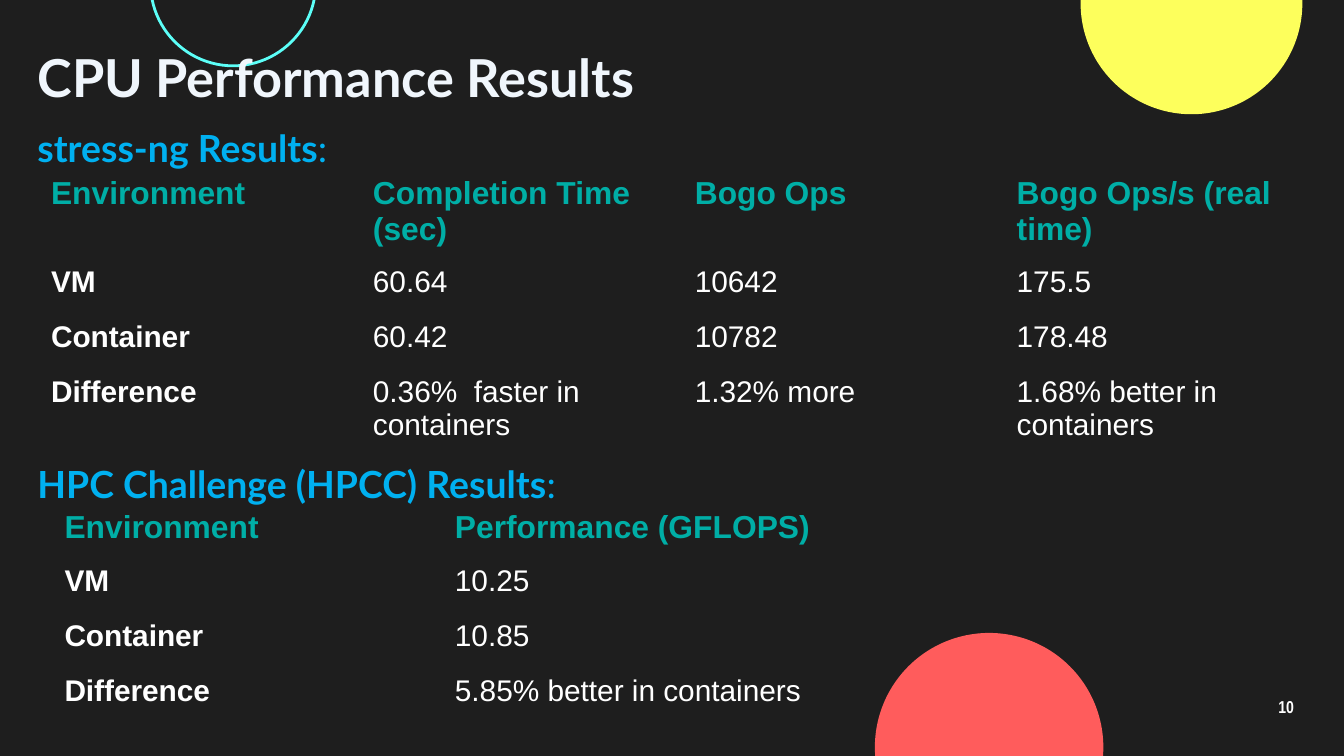
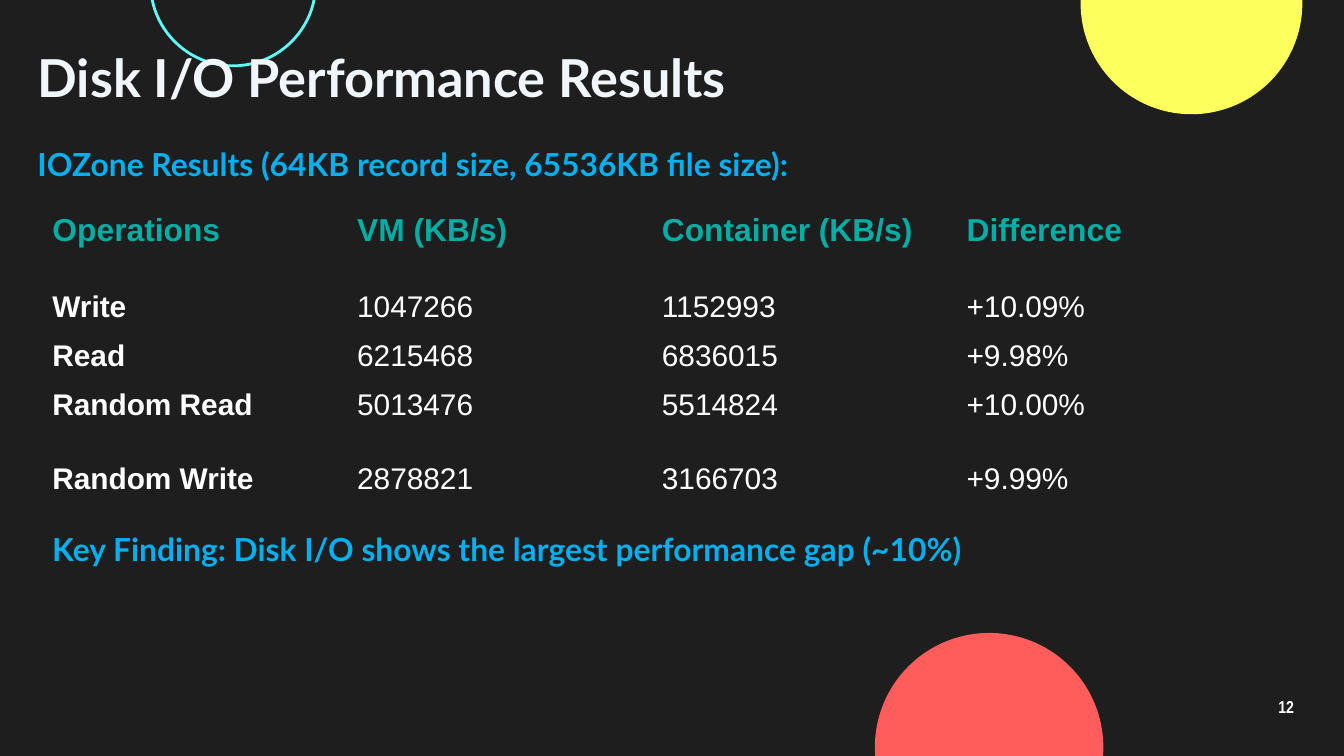
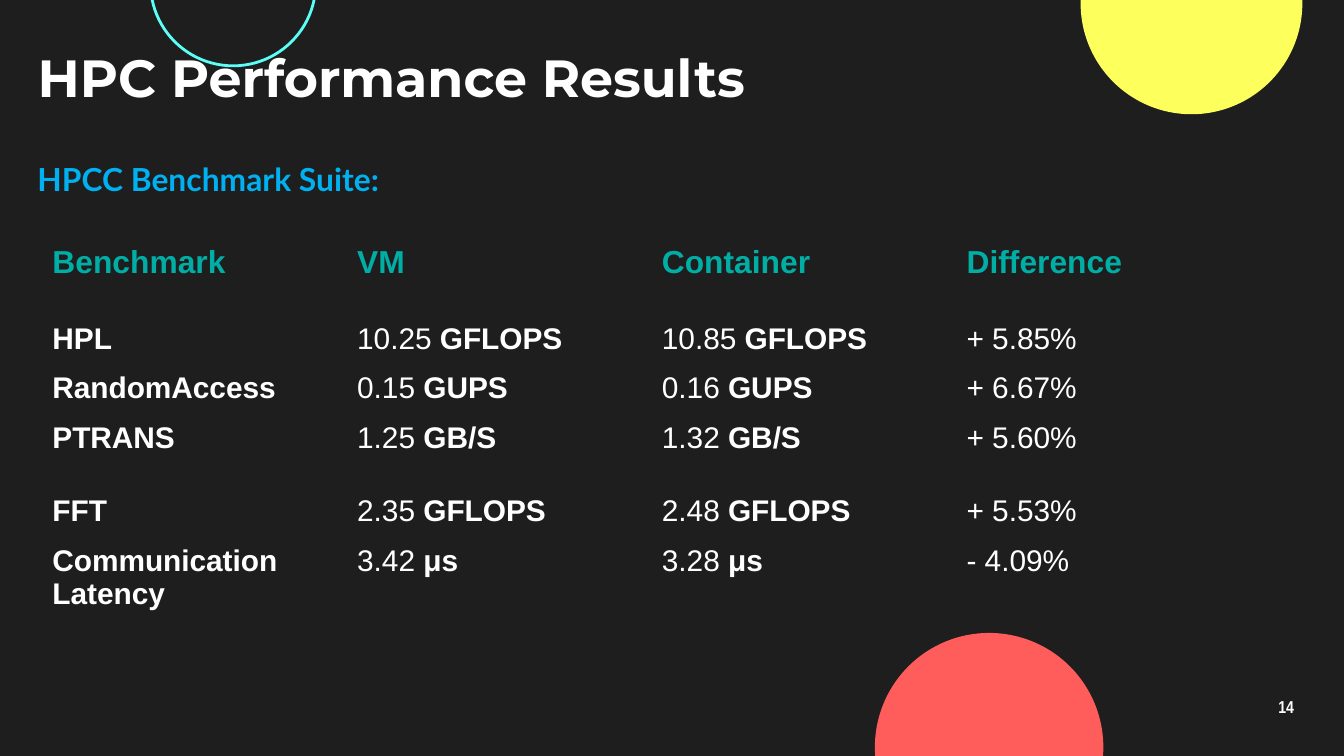
from pptx import Presentation
from pptx.dml.color import RGBColor
from pptx.enum.shapes import MSO_SHAPE
from pptx.enum.text import MSO_ANCHOR, MSO_AUTO_SIZE, PP_ALIGN
from pptx.oxml.ns import qn
from pptx.util import Inches, Pt

DARK = RGBColor(0x1E, 0x1E, 0x1E)
YELLOW = RGBColor(0xFD, 0xFF, 0x5C)
CYAN = RGBColor(0x5C, 0xFF, 0xF8)
CORAL = RGBColor(0xFF, 0x5C, 0x5C)
WHITE = RGBColor(0xFF, 0xFF, 0xFF)
PALE = RGBColor(0xF0, 0xF6, 0xFC)
BLUE = RGBColor(0x00, 0xB0, 0xF0)
TEAL = RGBColor(0x00, 0xAE, 0xA6)
NO_GRID = "{2D5ABB26-0587-4C30-8999-92F81FD0307C}"

TITLE = {"name": "Lato", "size": Pt(28), "bold": True, "color": PALE}
HEADING = {"name": "Lato", "size": Pt(17), "bold": True, "color": BLUE}
HEADER = {"name": "Arial", "size": Pt(17), "bold": True, "color": TEAL}
BODY = {"name": "Arial", "size": Pt(16), "bold": False, "color": WHITE}
STRONG = BODY | {"bold": True}
NUMBER = {"name": "Arial Narrow", "size": Pt(9.2), "bold": True, "color": WHITE}
BIG = HEADING | {"size": Pt(20)}
BIG_LIGHT = BIG | {"bold": False}
HEADING_GAP = Pt(156)

CIRCLES = [
    (8.04, -0.8, 1.65, YELLOW, None),
    (1.12, -0.74, 1.23, None, CYAN),
    (6.51, 4.71, 1.7, CORAL, None),
]
DISK_ROWS = [0.58, 0.32, 0.32, 0.55, 0.32]

SLIDES = [
    {
        "number": "10",
        "title": ("CPU Performance Results", TITLE),
        "headings": [
            ((0.18, 0.88, 9.52, 2.96), [
                [("stress-ng Results", BIG), (":", BIG_LIGHT)],
                [("HPC Challenge (HPCC) Results", BIG), (":", BIG_LIGHT)],
            ]),
        ],
        "tables": [
            ((0.28, 1.26, 9.58), [0.41] * 4, [
                ["Environment", "Completion Time (sec)", "Bogo Ops", "Bogo Ops/s (real time)"],
                ["VM", "60.64", "10642", "175.5"],
                ["Container", "60.42", "10782", "178.48"],
                ["Difference", "0.36%  faster in containers", "1.32% more",
                 "1.68% better in containers"],
            ]),
            ((0.38, 3.74, 5.81), [0.41] * 4, [
                ["Environment", "Performance (GFLOPS)"],
                ["VM", "10.25"],
                ["Container", "10.85"],
                ["Difference", "5.85% better in containers"],
            ]),
        ],
    },
    {
        "number": "12",
        "title": ("Disk I/O Performance Results", TITLE),
        "headings": [
            ((0.18, 1.03, 7.52, 0.39),
             [[("IOZone Results (64KB record size, 65536KB file size):", HEADING)]]),
            ((0.29, 3.89, 8.02, 0.67),
             [[("Key Finding: Disk I/O shows the largest performance gap (~10%)", HEADING)]]),
        ],
        "tables": [
            ((0.29, 1.53, 9.07), DISK_ROWS, [
                ["Operations", "VM (KB/s)", "Container (KB/s)", "Difference"],
                ["Write", "1047266", "1152993", "+10.09%"],
                ["Read", "6215468", "6836015", "+9.98%"],
                ["Random Read", "5013476", "5514824", "+10.00%"],
                ["Random Write", "2878821", "3166703", "+9.99%"],
            ]),
        ],
    },
    {
        "number": "14",
        "title": ("HPC Performance Results", TITLE | {"name": "Montserrat", "color": WHITE}),
        "headings": [
            ((0.18, 1.14, 7.52, 0.39), [[("HPCC Benchmark Suite:", HEADING)]]),
        ],
        "tables": [
            ((0.29, 1.77, 9.07), DISK_ROWS + [0.32], [
                ["Benchmark", "VM", "Container", "Difference"],
                ["HPL", ("10.25 ", "GFLOPS"), ("10.85 ", "GFLOPS"), "+ 5.85%"],
                ["RandomAccess", ("0.15 ", "GUPS"), ("0.16 ", "GUPS"), "+ 6.67%"],
                ["PTRANS", ("1.25 ", "GB/S"), ("1.32 ", "GB/S"), "+ 5.60%"],
                ["FFT", ("2.35 ", "GFLOPS"), ("2.48 ", "GFLOPS"), "+ 5.53%"],
                ["Communication Latency", ("3.42", " μs"), ("3.28", " μs"), "- 4.09%"],
            ]),
        ],
    },
]


def write(p, runs):
    for text, style in runs:
        r = p.add_run()
        r.text = text
        for key, value in style.items():
            if key == "color":
                r.font.color.rgb = value
            else:
                setattr(r.font, key, value)


def add_text(slide, box, paragraphs):
    tf = slide.shapes.add_textbox(*map(Inches, box)).text_frame
    tf.word_wrap = True
    for i, runs in enumerate(paragraphs):
        p = tf.add_paragraph() if i else tf.paragraphs[0]
        if i:
            p.space_before = HEADING_GAP
        write(p, runs)
    return tf


def set_title(slide, text, style):
    sp = slide.shapes.title
    sp.left, sp.top, sp.width, sp.height = map(Inches, (0.18, 0.36, 7.12, 0.42))
    tf = sp.text_frame
    tf.vertical_anchor = MSO_ANCHOR.MIDDLE
    tf.auto_size = MSO_AUTO_SIZE.NONE
    p = tf.paragraphs[0]
    p.alignment = PP_ALIGN.LEFT
    write(p, [(text, style)])


def add_number(slide, number):
    tf = add_text(slide, (9.27, 5.1, 0.6, 0.34), [[(number, NUMBER)]])
    tf.vertical_anchor = MSO_ANCHOR.MIDDLE
    for side in ("left", "top", "right", "bottom"):
        setattr(tf, f"margin_{side}", Inches(0.1))
    p = tf.paragraphs[0]
    p.alignment = PP_ALIGN.CENTER
    p.line_spacing = 0.9


def cell_runs(value, row, col):
    if row == 0:
        return [(value, HEADER)]
    if col == 0:
        return [(value, STRONG)]
    if isinstance(value, tuple):
        return list(zip(value, (BODY, STRONG)))
    return [(value, BODY)]


def add_table(slide, place, heights, rows):
    left, top, width = map(Inches, place)
    cols = len(rows[0])
    frame = slide.shapes.add_table(len(rows), cols, left, top, width, Inches(sum(heights)))
    table = frame.table
    table.first_row = table.horz_banding = False
    next(frame.element.iter(qn("a:tableStyleId"))).text = NO_GRID
    for column in table.columns:
        column.width = width // cols
    for i, (height, row) in enumerate(zip(heights, rows)):
        table.rows[i].height = Inches(height)
        for j, value in enumerate(row):
            cell = table.cell(i, j)
            cell.fill.background()
            write(cell.text_frame.paragraphs[0], cell_runs(value, i, j))


def decorate_layout(layout, slide):
    layout.background.fill.solid()
    layout.background.fill.fore_color.rgb = DARK
    for left, top, size, fill, line in CIRCLES:
        sp = slide.shapes.add_shape(MSO_SHAPE.OVAL, *map(Inches, (left, top, size, size)))
        sp.shadow.inherit = False
        if fill:
            sp.fill.solid()
            sp.fill.fore_color.rgb = fill
        else:
            sp.fill.background()
        if line:
            sp.line.color.rgb = line
            sp.line.width = Pt(1.5)
        else:
            sp.line.fill.background()
        layout.shapes.element.append(sp.element)


def main():
    prs = Presentation()
    prs.slide_width = Inches(10)
    prs.slide_height = prs.slide_width * 9 // 16
    layout = prs.slide_layouts[5]
    for index, content in enumerate(SLIDES):
        slide = prs.slides.add_slide(layout)
        if index == 0:
            decorate_layout(layout, slide)
        add_number(slide, content["number"])
        set_title(slide, *content["title"])
        for box, paragraphs in content["headings"]:
            add_text(slide, box, paragraphs)
        for table in content["tables"]:
            add_table(slide, *table)
    prs.save("out.pptx")


if __name__ == "__main__":
    main()
